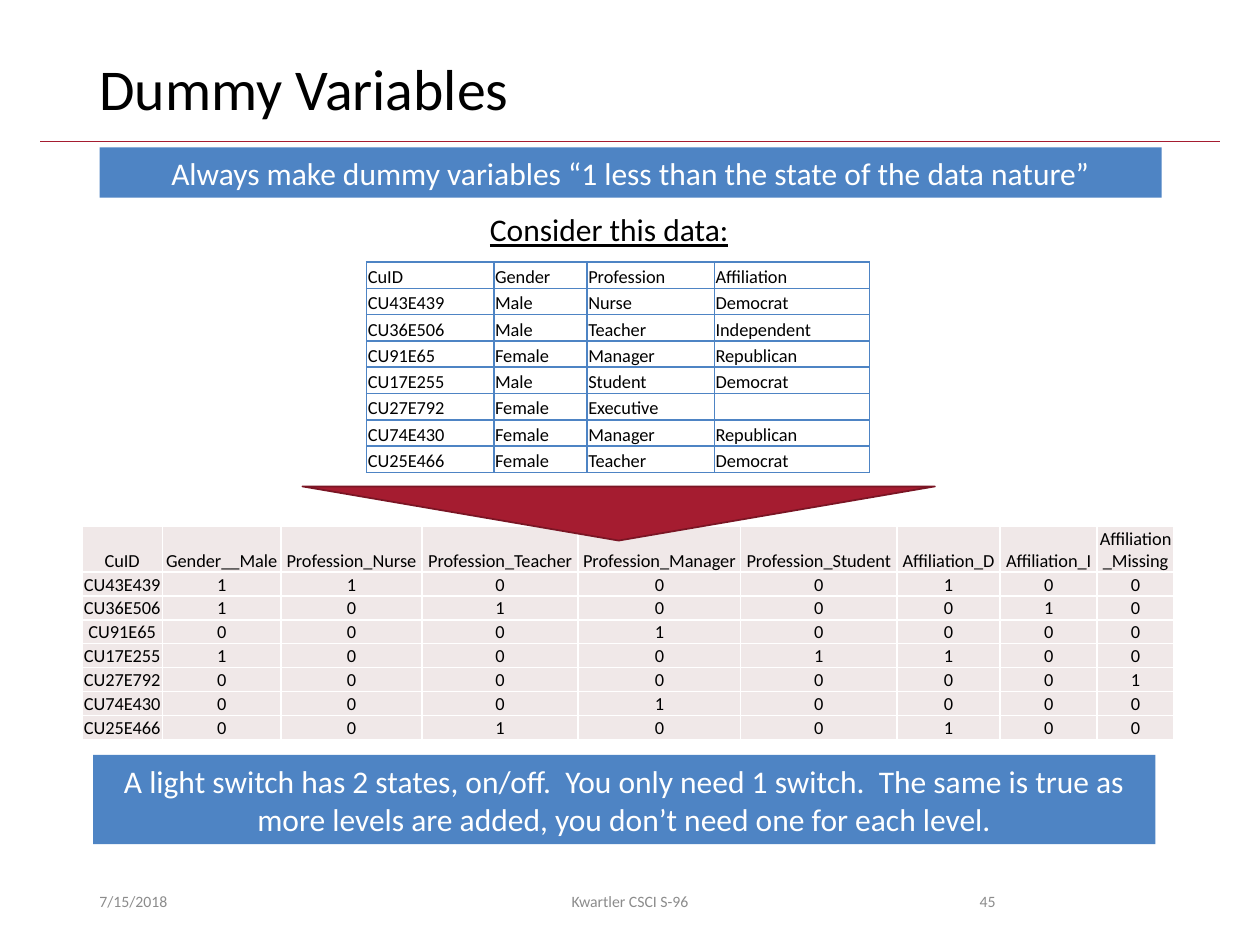
from lxml import etree
from pptx import Presentation
from pptx.dml.color import RGBColor
from pptx.enum.shapes import MSO_CONNECTOR, MSO_SHAPE
from pptx.enum.text import MSO_ANCHOR, PP_ALIGN
from pptx.oxml.ns import qn
from pptx.util import Inches, Pt

LEFT, CENTER, RIGHT = PP_ALIGN.LEFT, PP_ALIGN.CENTER, PP_ALIGN.RIGHT
MIDDLE, BOTTOM = MSO_ANCHOR.MIDDLE, MSO_ANCHOR.BOTTOM
RECTANGLE, TRIANGLE = MSO_SHAPE.RECTANGLE, MSO_SHAPE.ISOSCELES_TRIANGLE
STRAIGHT = MSO_CONNECTOR.STRAIGHT

THEME = {
    "font": "Calibri",
    "black": "000000", "white": "FFFFFF", "gray": "8C8C8C", "blue": "4E84C4",
    "crimson": "A51C30", "dark crimson": "7A1524", "blush": "F0E8E8",
    "title": 33, "body": 18, "cell": 10.5, "footer": 9,
}
COLOR = {name: RGBColor.from_string(value) for name, value in THEME.items()
         if isinstance(value, str) and name != "font"}

deck = Presentation()
deck.slide_width, deck.slide_height = Inches(10), Inches(7.5)
page = deck.slides.add_slide(deck.slide_layouts[6])

# Grid: 100 columns by 75 rows
COLUMN, ROW = deck.slide_width / 100, deck.slide_height / 75


def write(frame, text, size="body", color="black", align=LEFT, anchor=MIDDLE,
          wrap=True, underline=None, spacing=None):
    frame.word_wrap, frame.vertical_anchor = wrap, anchor
    para = frame.paragraphs[0]
    para.alignment, para.line_spacing = align, spacing
    span = para.add_run()
    span.text = text
    span.font.name, span.font.size = THEME["font"], Pt(THEME[size])
    span.font.color.rgb, span.font.underline = COLOR[color], underline


def draw_table(rows, left, top, widths, heights, border, fill=None, align=LEFT):
    box = page.shapes.add_table(
        len(rows), len(widths), int(left * COLUMN), int(top * ROW),
        int(sum(widths) * COLUMN), int(sum(heights) * ROW))
    table = box.table
    table.first_row = table.horz_banding = False
    for column, width in zip(table.columns, widths):
        column.width = int(width * COLUMN)
    for line, height, values in zip(table.rows, heights, rows):
        line.height = int(height * ROW)
        for cell, value in zip(line.cells, values):
            cell.margin_left = cell.margin_right = cell.margin_top = Inches(0.01)
            cell.margin_bottom = 0
            cell.vertical_anchor = BOTTOM
            if value:
                write(cell.text_frame, value, "cell", align=align, anchor=None, wrap=None)
            else:
                etree.SubElement(cell.text_frame.paragraphs[0]._p, qn("a:endParaRPr"),
                                 sz=str(int(THEME["cell"] * 100)))
            # Cell borders come before the fill
            properties = cell._tc.get_or_add_tcPr()
            for side in ("a:lnL", "a:lnR", "a:lnT", "a:lnB"):
                edge = etree.SubElement(properties, qn(side), w=str(Pt(1)))
                solid = etree.SubElement(edge, qn("a:solidFill"))
                etree.SubElement(solid, qn("a:srgbClr"), val=THEME[border])
            if fill:
                cell.fill.solid()
                cell.fill.fore_color.rgb = COLOR[fill]
            else:
                cell.fill.background()


# Rule under the title
rule = page.shapes.add_connector(STRAIGHT, int(3.2 * COLUMN), int(11.2 * ROW),
                                 int(96.8 * COLUMN), int(11.2 * ROW))
rule.line.color.rgb, rule.line.width = COLOR["crimson"], Pt(0.5)
etree.SubElement(rule._element.spPr, qn("a:effectLst"))

# Title, subheading and footer
footer = {"size": "footer", "color": "gray"}
for text, left, top, width, height, style in (
    ("7/15/2018", 6.9, 69.5, 22.5, 4, footer),
    ("Dummy Variables", 6.9, 4, 86.2, 6.5, {"size": "title", "spacing": 0.9}),
    ("45", 70.6, 69.5, 9.4, 4, {**footer, "align": RIGHT}),
    ("Kwartler CSCI S-96", 33.1, 69.5, 33.8, 4, {**footer, "align": CENTER}),
    ("Consider this data:", 37.9, 16.2, 21.2, 4, {"wrap": False, "underline": True}),
):
    box = page.shapes.add_textbox(int(left * COLUMN), int(top * ROW),
                                  int(width * COLUMN), int(height * ROW))
    write(box.text_frame, text, **style)

# Blue banners
for text, left, top, height in (
    ("Always make dummy variables “1 less than the state of the data nature”", 7.9, 11.7, 4),
    ("A light switch has 2 states, on/off.  You only need 1 switch.  The same is true as "
     "more levels are added, you don’t need one for each level.", 7.4, 59.9, 7.1),
):
    banner = page.shapes.add_shape(RECTANGLE, int(left * COLUMN), int(top * ROW),
                                   int(84.3 * COLUMN), int(height * ROW))
    banner.shadow.inherit = False
    banner.fill.solid()
    banner.fill.fore_color.rgb = COLOR["blue"]
    banner.line.fill.background()
    write(banner.text_frame, text, color="white", align=CENTER)

# Source data
people = [
    ("CU43E439", "Male", "Nurse", "Democrat"),
    ("CU36E506", "Male", "Teacher", "Independent"),
    ("CU91E65", "Female", "Manager", "Republican"),
    ("CU17E255", "Male", "Student", "Democrat"),
    ("CU27E792", "Female", "Executive", ""),
    ("CU74E430", "Female", "Manager", "Republican"),
    ("CU25E466", "Female", "Teacher", "Democrat"),
]
draw_table([("CuID", "Gender", "Profession", "Affiliation"), *people], 29.1, 20.8,
           [10.1, 7.4, 10.1, 12.3], [2.09] * 8, "blue")

# Dummy variables: heading, source field, level that scores 1, column width
dummies = [
    ("Gender__Male", 1, "Male", 9.4),
    ("Profession_Nurse", 2, "Nurse", 11.2),
    ("Profession_Teacher", 2, "Teacher", 12.4),
    ("Profession_Manager", 2, "Manager", 12.9),
    ("Profession_Student", 2, "Student", 12.4),
    ("Affiliation_D", 3, "Democrat", 8.2),
    ("Affiliation_I", 3, "Independent", 7.7),
    ("Affiliation_Missing", 3, "", 6.1),
]
encoded = [["CuID"] + [heading for heading, *_ in dummies]]
for person in people:
    encoded.append([person[0]] + [str(int(person[field] == level))
                                  for _, field, level, _ in dummies])
draw_table(encoded, 6.5, 41.8, [6.4] + [dummy[-1] for dummy in dummies],
           [3.5] + [1.9] * 7, "white", fill="blush", align=CENTER)

# Arrowhead from the source data to the dummy variables
pointer = page.shapes.add_shape(TRIANGLE, int(24 * COLUMN), int(38.6 * ROW),
                                int(50.2 * COLUMN), int(4.3 * ROW))
pointer.rotation = 180
pointer.shadow.inherit = False
pointer.fill.solid()
pointer.fill.fore_color.rgb = COLOR["crimson"]
pointer.line.color.rgb, pointer.line.width = COLOR["dark crimson"], Pt(1)

deck.save("out.pptx")
